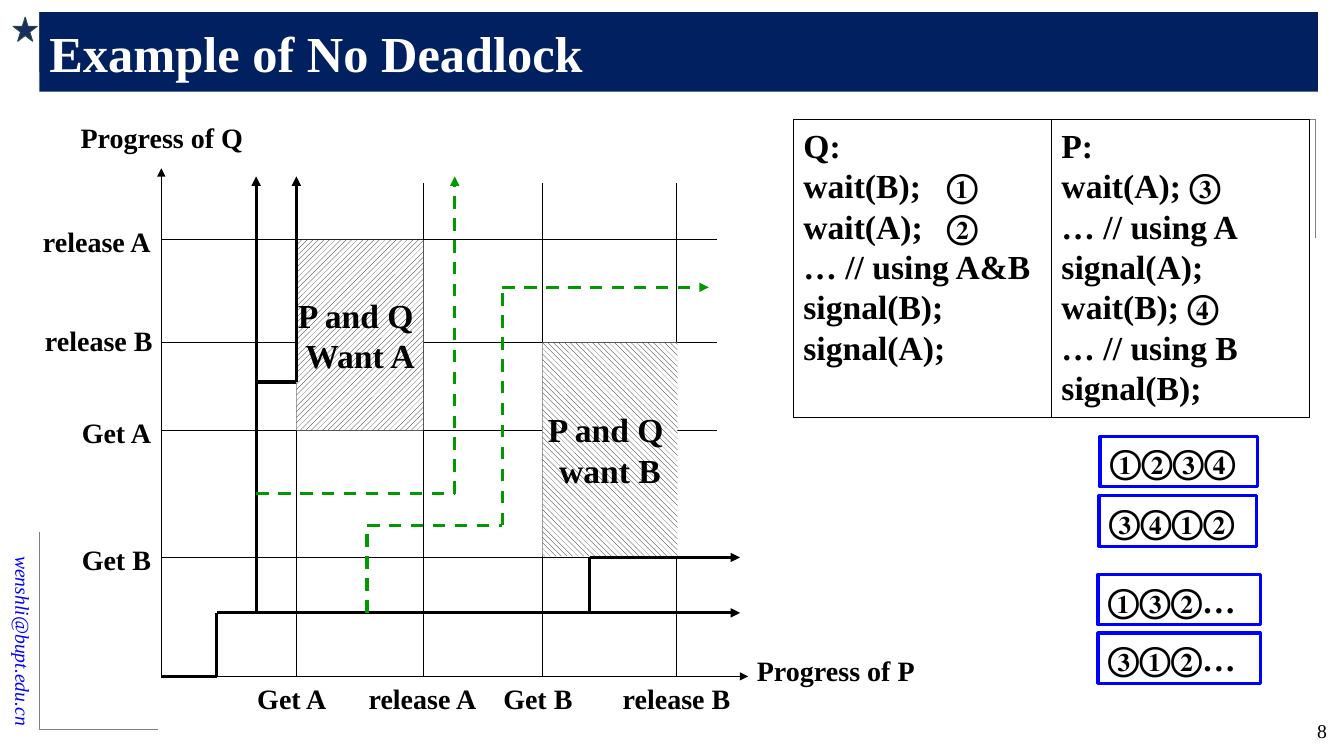
from dataclasses import dataclass
from typing import NamedTuple

from lxml.etree import SubElement
from pptx import Presentation
from pptx.dml.color import RGBColor
from pptx.enum.dml import MSO_LINE, MSO_PATTERN as Pattern
from pptx.enum.shapes import MSO_CONNECTOR, MSO_SHAPE as Preset
from pptx.enum.text import MSO_ANCHOR as Anchor, PP_ALIGN as Align
from pptx.oxml.ns import qn
from pptx.util import Inches, Pt


@dataclass(frozen=True)
class Theme:
    font: str = "Times New Roman"
    ink: str = "000000"
    paper: str = "FFFFFF"
    banner: str = "002060"
    star: str = "172E5C"
    star_edge: str = "2A4854"
    frame: str = "808080"
    blue: str = "0000FF"
    safe: str = "009900"
    title_size: float = 36
    code_size: float = 24
    label_size: float = 20
    small_size: float = 14
    hair: float = 0.5
    thin: float = 0.75
    thick: float = 2.25


THEME = Theme()


class Box(NamedTuple):
    left: float
    top: float
    width: float
    height: float


class Point(NamedTuple):
    x: float
    y: float


class Label(NamedTuple):
    text: str
    left: float
    top: float
    width: float


class Route(NamedTuple):
    points: list[tuple[float, float]]
    color: str = THEME.ink
    dashed: bool = False


class Region(NamedTuple):
    box: Box
    pattern: int
    lines: list[str]


class Panel(NamedTuple):
    box: Box
    lines: list[str]
    edge: str = THEME.ink
    weight: float = THEME.thin


ORIGIN = Point(1.6, 6.71)
LABEL_HEIGHT = 0.44
P_EVENTS = [2.94, 4.2, 5.38, 6.71]
Q_EVENTS = [5.53, 4.27, 3.4, 2.38]

FRAME_CORNERS = [
    [(0.39, 0.71), (0.39, 0.12), (2.36, 0.12)],
    [(0.39, 5.28), (0.39, 7.24), (1.57, 7.24)],
    [(13.05, 2.36), (13.05, 1.18), (11.08, 1.18)],
]

LABELS = [
    Label("Progress of Q", 0.69, 1.15, 1.83),
    Label("Progress of P", 7.4, 6.43, 1.78),
    Label("Get A", 2.45, 6.71, 0.89),
    Label("release A", 3.55, 6.71, 1.28),
    Label("Get B", 4.89, 6.71, 0.89),
    Label("release B", 6.07, 6.71, 1.28),
    Label("Get B", 0.71, 5.33, 0.89),
    Label("Get A", 0.71, 4.07, 0.89),
    Label("release B", 0.34, 3.16, 1.28),
    Label("release A", 0.32, 2.18, 1.28),
]

REGIONS = [
    Region(Box(2.94, 2.38, 1.26, 1.89), Pattern.WIDE_UPWARD_DIAGONAL, ["P and Q ", "Want A"]),
    Region(Box(5.38, 3.4, 1.34, 2.12), Pattern.WIDE_DOWNWARD_DIAGONAL, ["P and Q ", "want B"]),
]

ROUTES = [
    Route([ORIGIN, (2.15, 6.71), (2.15, 6.08), (2.54, 6.08), (2.54, 4.9), (2.54, 3.79), (2.54, 1.75)]),
    Route([(2.54, 6.08), (3.64, 6.08), (5.85, 6.08), (7.34, 6.08)]),
    Route([(5.85, 6.08), (5.85, 5.53), (7.34, 5.53)]),
    Route([(2.54, 3.79), (2.94, 3.79), (2.94, 1.75)]),
    Route([(2.54, 4.9), (4.51, 4.9), (4.51, 1.75)], THEME.safe, True),
    Route([(3.64, 6.08), (3.64, 5.21), (4.98, 5.21), (4.98, 2.85), (7.03, 2.85)], THEME.safe, True),
]

PANELS = [
    Panel(Box(7.87, 1.19, 2.56, 2.95),
          ["Q:", "wait(B);\t①", "wait(A);\t②", "… // using A&B", "signal(B);", "signal(A);"]),
    Panel(Box(10.43, 1.19, 2.56, 2.95),
          ["P:", "wait(A); ③", "… // using A", "signal(A);", "wait(B); ④", "… // using B", "signal(B);"]),
    Panel(Box(10.91, 4.33, 1.56, 0.5), ["①②③④"], THEME.blue, THEME.thick),
    Panel(Box(10.9, 4.92, 1.56, 0.5), ["③④①②"], THEME.blue, THEME.thick),
    Panel(Box(10.89, 5.7, 1.61, 0.5), ["①③②…"], THEME.blue, THEME.thick),
    Panel(Box(10.89, 6.28, 1.61, 0.5), ["③①②…"], THEME.blue, THEME.thick),
]


def rgb(color: str) -> RGBColor:
    return RGBColor.from_string(color)


def write(shape, lines: list[str], size: float, color: str = THEME.ink, bold: bool = True,
          italic: bool = False, align=Align.LEFT, anchor=Anchor.TOP, wrap: bool = False) -> None:
    frame = shape.text_frame
    frame.word_wrap = wrap
    frame.vertical_anchor = anchor
    for index, line in enumerate(lines):
        paragraph = frame.paragraphs[0] if index == 0 else frame.add_paragraph()
        paragraph.alignment = align
        if "\t" in line:
            stops = SubElement(paragraph._p.get_or_add_pPr(), qn("a:tabLst"))
            SubElement(stops, qn("a:tab"), pos=str(Inches(1.42)), algn="l")
        run = paragraph.add_run()
        run.text = line
        font = run.font
        font.name, font.size = THEME.font, Pt(size)
        font.bold, font.italic = bold, italic
        font.color.rgb = rgb(color)


def add_line(slide, start, end, color: str, weight: float, arrow: bool = False, dashed: bool = False) -> None:
    line = slide.shapes.add_connector(MSO_CONNECTOR.STRAIGHT, *map(Inches, (*start, *end)))
    line.line.color.rgb = rgb(color)
    line.line.width = Pt(weight)
    if dashed:
        line.line.dash_style = MSO_LINE.DASH
    if arrow:
        SubElement(line.line._get_or_add_ln(), qn("a:tailEnd"), type="triangle")
    SubElement(line._element.spPr, qn("a:effectLst"))


def add_path(slide, points, color: str, weight: float, arrow: bool = False, dashed: bool = False) -> None:
    last = len(points) - 2
    for index, (start, end) in enumerate(zip(points, points[1:])):
        add_line(slide, start, end, color, weight, arrow and index == last, dashed)


def add_preset(slide, preset, box: Box, fill: str, edge: str, weight: float):
    shape = slide.shapes.add_shape(preset, *map(Inches, box))
    shape.shadow.inherit = False
    shape.fill.solid()
    shape.fill.fore_color.rgb = rgb(fill)
    shape.line.color.rgb = rgb(edge)
    shape.line.width = Pt(weight)
    return shape


def add_region(slide, region: Region) -> None:
    shape = slide.shapes.add_shape(Preset.RECTANGLE, *map(Inches, region.box))
    shape.shadow.inherit = False
    shape.fill.patterned()
    shape.fill.pattern = region.pattern
    shape.fill.fore_color.rgb = rgb(THEME.ink)
    shape.fill.back_color.rgb = rgb(THEME.paper)
    shape.line.fill.background()
    write(shape, region.lines, THEME.code_size, align=Align.CENTER, anchor=Anchor.MIDDLE)


def add_text(slide, box: Box):
    return slide.shapes.add_textbox(*map(Inches, box))


def add_surround(slide) -> None:
    email = add_text(slide, Box(-1.09, 5.81, 2.64, 0.34))
    email.rotation = 90
    write(email, ["wenshli@bupt.edu.cn"], THEME.small_size, THEME.blue, bold=False, italic=True,
          align=Align.RIGHT, anchor=Anchor.MIDDLE, wrap=True)
    for corner in FRAME_CORNERS:
        add_path(slide, corner, THEME.frame, THEME.hair)
    add_preset(slide, Preset.STAR_5_POINT, Box(0.13, 0.17, 0.24, 0.24), THEME.star, THEME.star_edge, THEME.thin)
    title = slide.shapes.title
    title.left, title.top, title.width, title.height = map(Inches, Box(0.39, 0.12, 12.68, 0.79))
    title.fill.solid()
    title.fill.fore_color.rgb = rgb(THEME.banner)
    write(title, ["Example of No Deadlock"], THEME.title_size, THEME.paper, anchor=Anchor.MIDDLE, wrap=True)
    slide.shapes.element.append(title.element)
    page = add_text(slide, Box(12.15, 7.08, 1.11, 0.36))
    write(page, ["8"], THEME.small_size, bold=False, align=Align.RIGHT, wrap=True)


def add_progress_diagram(slide) -> None:
    for tip in ((ORIGIN.x, 1.67), (7.42, ORIGIN.y)):
        add_line(slide, ORIGIN, tip, THEME.ink, THEME.thin, arrow=True)
    for y in Q_EVENTS:
        add_line(slide, (ORIGIN.x, y), (7.11, y), THEME.ink, THEME.thin)
    for x in P_EVENTS:
        add_line(slide, (x, ORIGIN.y), (x, 1.82), THEME.ink, THEME.thin)
    for label in LABELS:
        caption = add_text(slide, Box(label.left, label.top, label.width, LABEL_HEIGHT))
        write(caption, [label.text], THEME.label_size, align=Align.CENTER)
    for region in REGIONS:
        add_region(slide, region)
    for route in ROUTES:
        add_path(slide, route.points, route.color, THEME.thick, arrow=True, dashed=route.dashed)


def main() -> None:
    deck = Presentation()
    deck.slide_width, deck.slide_height = Inches(13.33), Inches(7.5)
    slide = deck.slides.add_slide(deck.slide_layouts[5])
    add_surround(slide)
    add_progress_diagram(slide)
    for panel in PANELS:
        shape = add_preset(slide, Preset.RECTANGLE, panel.box, THEME.paper, panel.edge, panel.weight)
        write(shape, panel.lines, THEME.code_size)
    deck.save("out.pptx")


if __name__ == "__main__":
    main()
